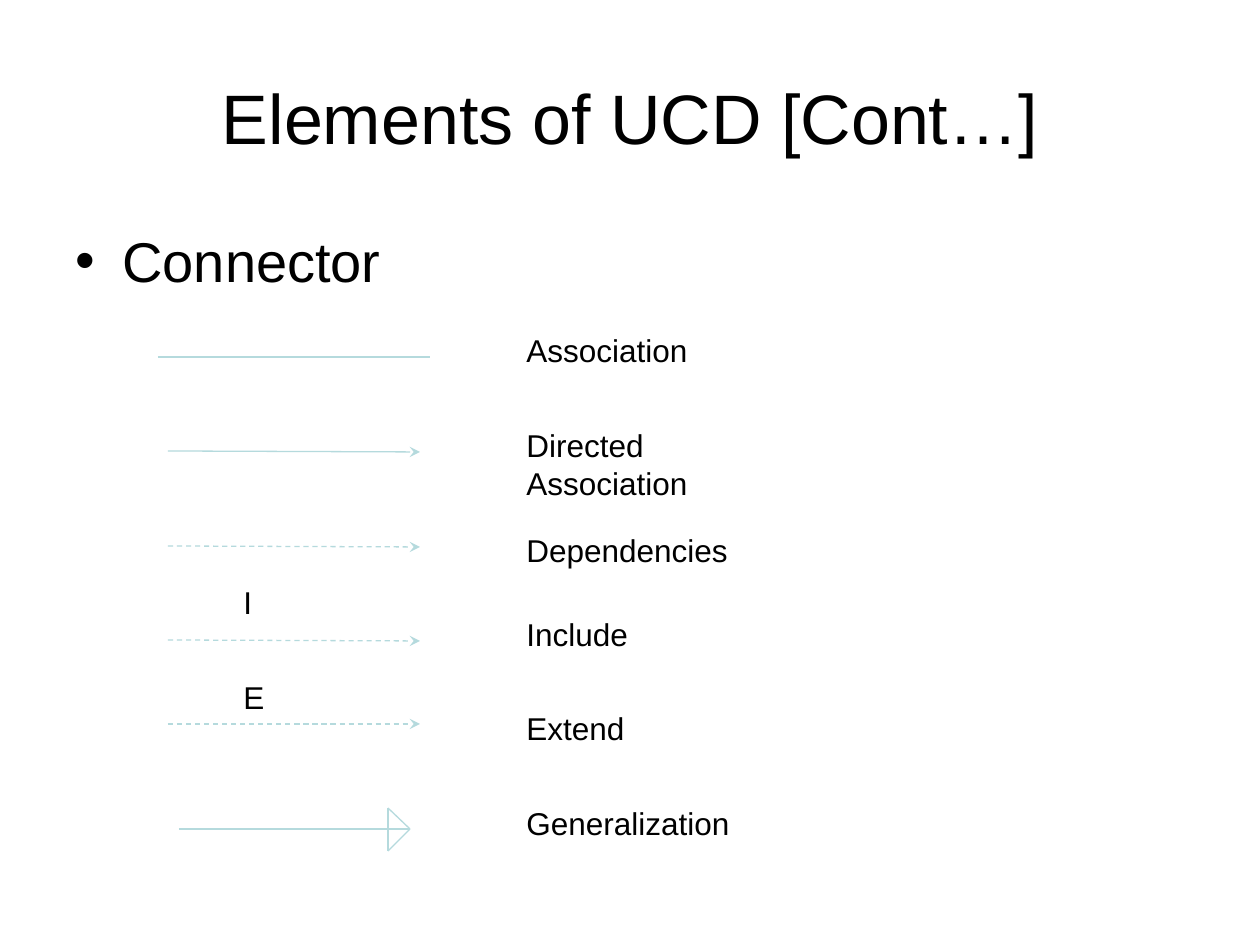
"""Build the use case diagram slide that lists the connector kinds."""
from lxml.etree import SubElement
from pptx import Presentation
from pptx.dml.color import RGBColor
from pptx.enum.dml import MSO_LINE_DASH_STYLE as Dash
from pptx.enum.shapes import MSO_CONNECTOR_TYPE as Link
from pptx.enum.text import MSO_ANCHOR as Anchor, MSO_AUTO_SIZE as AutoSize, PP_ALIGN as Align
from pptx.oxml.ns import qn
from pptx.util import Inches, Pt

PX_PER_INCH = 126
INK = "000000"
TEAL = "B5DADD"

LABELS = [
    ("Association", 325),
    ("Directed Association", 420),
    ("Dependencies", 525),
    ("Include", 609),
    ("Extend", 703),
    ("Generalization", 798),
]
STEREOTYPES = [("E", 672), ("I", 577)]
ARROWS = [(451, 452, None), (546, 547, Dash.DASH), (640, 641, Dash.DASH), (724, 724, Dash.DASH)]


def px(length):
    return Inches(length / PX_PER_INCH)


def color(hex_code):
    return RGBColor.from_string(hex_code)


def add_text(slide, text, box, size=18, align=Align.LEFT, anchor=Anchor.TOP, fit=AutoSize.SHAPE_TO_FIT_TEXT):
    frame = slide.shapes.add_textbox(*map(px, box)).text_frame
    frame.word_wrap = True
    frame.auto_size = fit
    frame.vertical_anchor = anchor
    paragraph = frame.paragraphs[0]
    paragraph.text = text
    paragraph.alignment = align
    paragraph.font.name = "Arial"
    paragraph.font.size = Pt(size)
    paragraph.font.color.rgb = color(INK)
    return paragraph


def add_bullet(paragraph, indent):
    properties = paragraph._p.get_or_add_pPr()
    properties.set("marL", str(px(indent)))
    properties.set("indent", str(-px(indent)))
    bullet_color = SubElement(properties, qn("a:buClr"))
    SubElement(bullet_color, qn("a:srgbClr"), val=INK)
    SubElement(properties, qn("a:buFont"), typeface="Arial")
    SubElement(properties, qn("a:buChar"), char="•")


def add_line(slide, start, end, kind=Link.STRAIGHT, dash=None, arrow=False):
    line = slide.shapes.add_connector(kind, *map(px, start + end))
    line.line.color.rgb = color(TEAL)
    line.line.width = Pt(0.75)
    if dash:
        line.line.dash_style = dash
    properties = line.element.spPr
    if arrow:
        SubElement(properties.find(qn("a:ln")), qn("a:tailEnd"), type="stealth")
    SubElement(properties, qn("a:effectLst"))


def add_generalization(slide):
    tip, top, bottom = (410, 829), (388, 808), (388, 851)
    add_line(slide, (179, 829), tip)
    for start, end in [(tip, top), (tip, bottom), (top, bottom)]:
        add_line(slide, start, end)


def main():
    deck = Presentation()
    deck.slide_width, deck.slide_height = px(1260), px(945)
    slide = deck.slides.add_slide(deck.slide_layouts[6])

    add_text(slide, "Elements of UCD [Cont…]", (63, 38, 1134, 158), 40,
             Align.CENTER, Anchor.MIDDLE, AutoSize.NONE)
    topic = add_text(slide, "Connector", (63, 220, 1134, 624), 32, fit=AutoSize.NONE)
    add_bullet(topic, 47)

    add_line(slide, (158, 357), (430, 357), Link.ELBOW)
    for start_y, end_y, dash in ARROWS:
        add_line(slide, (168, start_y), (420, end_y), dash=dash, arrow=True)
    for letter, top in STEREOTYPES:
        add_text(slide, letter, (231, top, 84, 50))
    add_generalization(slide)
    for label, top in LABELS:
        add_text(slide, label, (514, top, 305, 50))

    deck.save("out.pptx")


if __name__ == "__main__":
    main()
